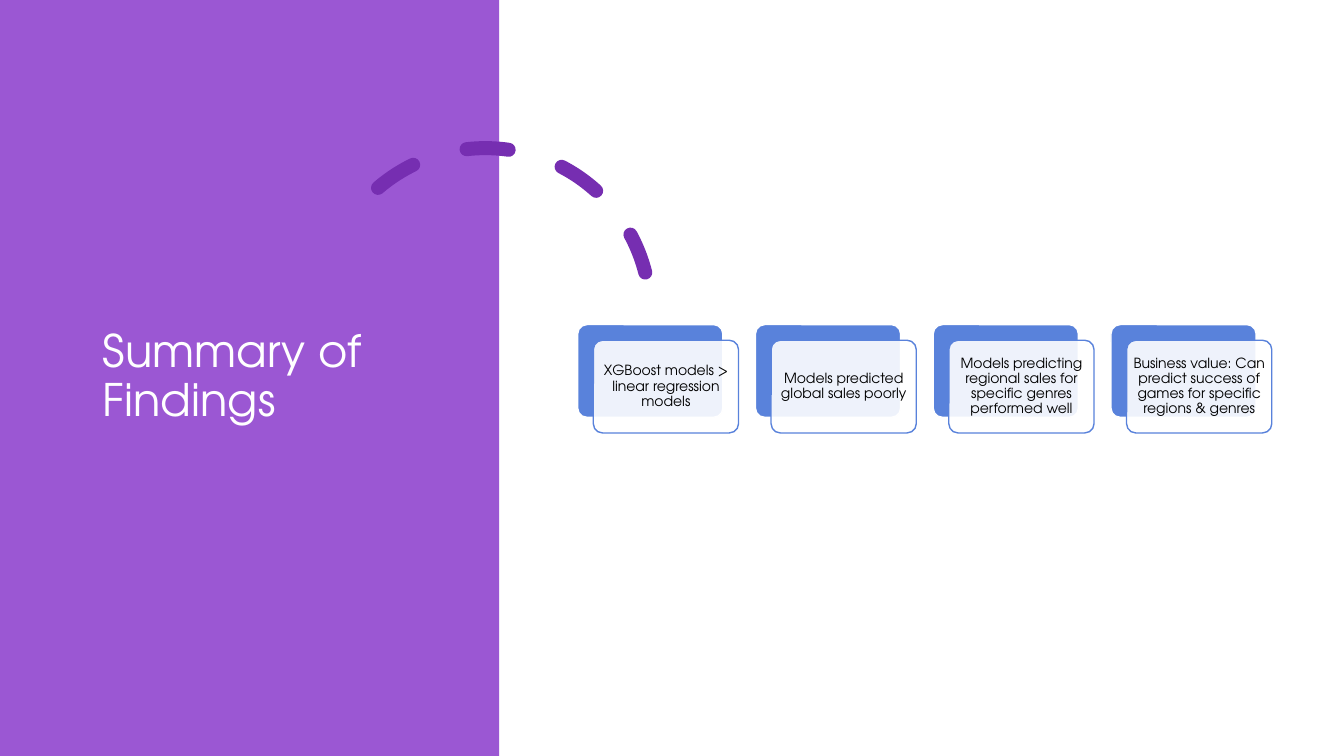
from dataclasses import dataclass

from lxml.etree import SubElement
from pptx import Presentation
from pptx.dml.color import RGBColor
from pptx.enum.dml import MSO_LINE
from pptx.enum.shapes import MSO_SHAPE
from pptx.enum.text import MSO_ANCHOR, MSO_AUTO_SIZE, PP_ALIGN
from pptx.oxml.ns import qn
from pptx.shapes.autoshape import Shape
from pptx.slide import Slide
from pptx.util import Inches, Pt

WHITE = RGBColor(0xFF, 0xFF, 0xFF)
BLACK = RGBColor(0x00, 0x00, 0x00)
PURPLE = RGBColor(0x9B, 0x57, 0xD3)
DARK_PURPLE = RGBColor(0x76, 0x2E, 0xB1)
BLUE = RGBColor(0x59, 0x82, 0xDB)
FONT = "TeX Gyre Adventor"

CARD_LEFT, CARD_TOP = 5.73, 3.22
CARD_WIDTH, CARD_HEIGHT = 1.44, 0.92
CARD_STEP = 1.763
FRONT_OFFSET = 0.155


@dataclass(frozen=True)
class Finding:
    text: str
    column: int

    @property
    def left(self) -> float:
        return CARD_LEFT + self.column * CARD_STEP


FINDINGS = [
    Finding("XGBoost models > linear regression models", 0),
    Finding("Models predicted global sales poorly", 1),
    Finding("Models predicting regional sales for specific genres performed well", 2),
    Finding("Business value: Can predict success of games for specific regions & genres", 3),
]


def add_panel(slide: Slide) -> None:
    panel = slide.shapes.add_shape(MSO_SHAPE.RECTANGLE, 0, 0, Inches(4.95), Inches(7.5))
    panel.shadow.inherit = False
    panel.fill.solid()
    panel.fill.fore_color.rgb = PURPLE
    panel.line.fill.background()


def add_dashed_arc(slide: Slide) -> None:
    arc = slide.shapes.add_shape(
        MSO_SHAPE.ARC, Inches(3.18), Inches(1.47), Inches(3.27), Inches(3.27)
    )
    arc.shadow.inherit = False
    arc.adjustments[0] = 146.13
    arc.adjustments[1] = 0
    arc.rotation = 345.8
    arc.fill.background()
    arc.line.color.rgb = DARK_PURPLE
    arc.line.width = Pt(10)
    arc.line.dash_style = MSO_LINE.DASH
    arc.line._get_or_add_ln().set("cap", "rnd")


def format_title(slide: Slide) -> None:
    """Place the title over the purple panel."""
    title = slide.shapes.title
    title.left, title.top = Inches(0.92), Inches(0.7)
    title.width, title.height = Inches(3.23), Inches(6.09)
    frame = title.text_frame
    frame.text = "Summary of Findings"
    frame.word_wrap = True
    frame.auto_size = MSO_AUTO_SIZE.NONE
    frame.vertical_anchor = MSO_ANCHOR.MIDDLE
    paragraph = frame.paragraphs[0]
    paragraph.alignment = PP_ALIGN.LEFT
    paragraph.line_spacing = 0.9
    paragraph.font.name = FONT
    paragraph.font.size = Pt(32)
    paragraph.font.color.rgb = WHITE
    slide.shapes._spTree.append(title._element)


def add_card(slide: Slide, left: float, top: float, fill: RGBColor, line: RGBColor) -> Shape:
    card = slide.shapes.add_shape(
        MSO_SHAPE.ROUNDED_RECTANGLE,
        Inches(left), Inches(top), Inches(CARD_WIDTH), Inches(CARD_HEIGHT),
    )
    card.shadow.inherit = False
    card.adjustments[0] = 0.1
    card.fill.solid()
    card.fill.fore_color.rgb = fill
    card.line.color.rgb = line
    card.line.width = Pt(1)
    return card


def add_finding(slide: Slide, finding: Finding) -> None:
    """Draw a blue card with a translucent, captioned card in front of it."""
    add_card(slide, finding.left, CARD_TOP, BLUE, WHITE)
    front = add_card(
        slide, finding.left + FRONT_OFFSET, CARD_TOP + FRONT_OFFSET, WHITE, BLUE
    )
    color = front._element.spPr.find(f"{qn('a:solidFill')}/{qn('a:srgbClr')}")
    SubElement(color, qn("a:alpha")).set("val", "90000")

    frame = front.text_frame
    frame.text = finding.text
    frame.word_wrap = True
    frame.vertical_anchor = MSO_ANCHOR.MIDDLE
    frame.margin_left = frame.margin_right = Inches(0.04)
    frame.margin_top = frame.margin_bottom = Inches(0.04)
    paragraph = frame.paragraphs[0]
    paragraph.alignment = PP_ALIGN.CENTER
    paragraph.line_spacing = 0.9
    paragraph.font.name = FONT
    paragraph.font.size = Pt(10)
    paragraph.font.color.rgb = BLACK


def main() -> None:
    presentation = Presentation()
    presentation.slide_width = Inches(13.33)
    presentation.slide_height = Inches(7.5)
    title_only_layout = presentation.slide_layouts[5]
    slide = presentation.slides.add_slide(title_only_layout)

    add_panel(slide)
    add_dashed_arc(slide)
    format_title(slide)
    for finding in FINDINGS:
        add_finding(slide, finding)

    presentation.save("out.pptx")


if __name__ == "__main__":
    main()
